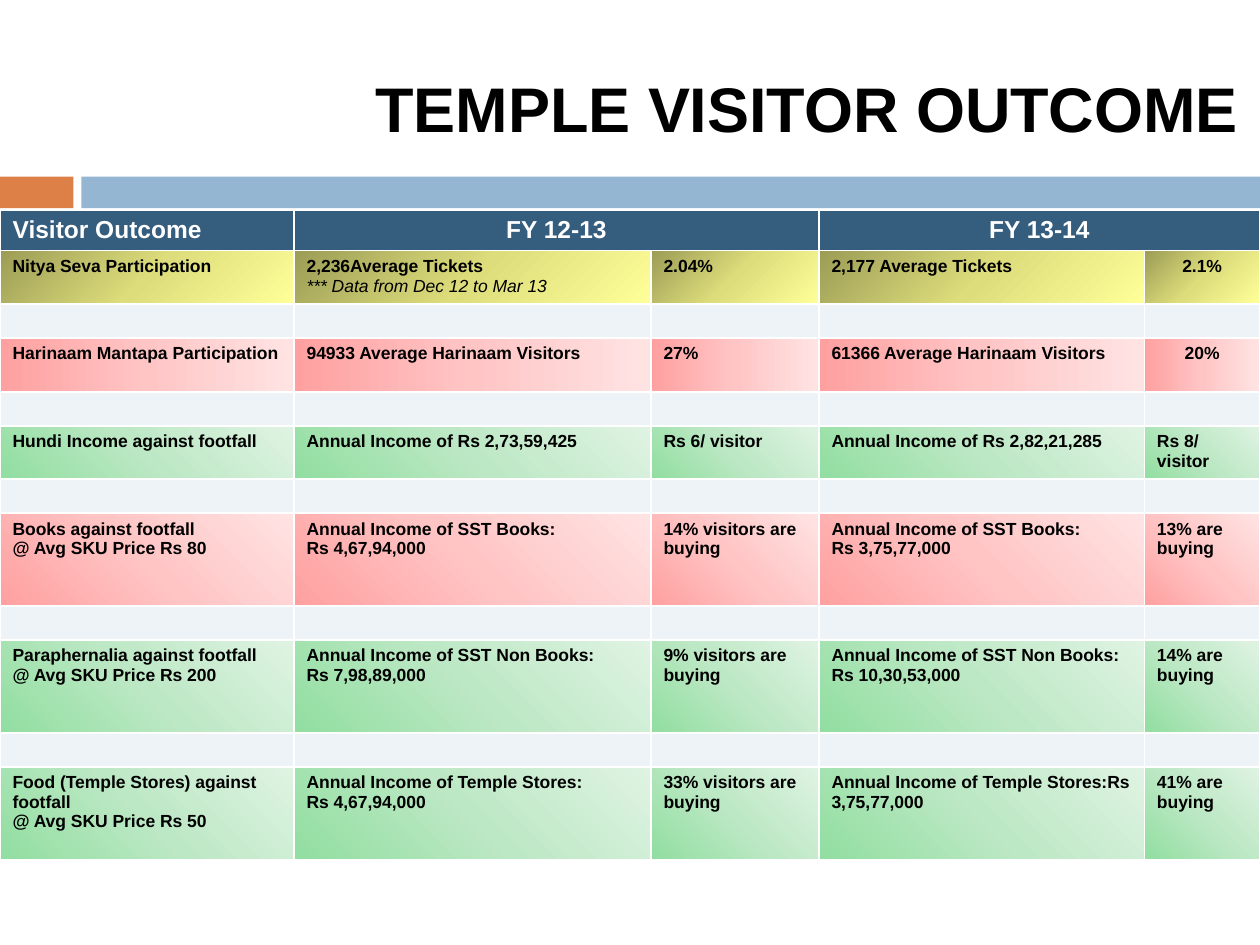
from pptx import Presentation
from pptx.dml.color import RGBColor
from pptx.enum.shapes import MSO_SHAPE as SHAPE
from pptx.enum.text import MSO_AUTO_SIZE as AUTO_SIZE, PP_ALIGN as ALIGN
from pptx.oxml import parse_xml
from pptx.oxml.ns import nsdecls
from pptx.util import Pt


def color(value):
    return RGBColor.from_string(value)


def style(paragraph, size, value, bold=True):
    paragraph.font.name = "Arial"
    paragraph.font.size = Pt(size)
    paragraph.font.bold = bold
    paragraph.font.color.rgb = color(value)


presentation = Presentation()
presentation.slide_width, presentation.slide_height = Pt(720), Pt(540)
slide = presentation.slides.add_slide(presentation.slide_layouts[6])

for left, width, value in [(0, 42, "DD8047"), (46.5, 673.5, "94B6D2")]:
    band = slide.shapes.add_shape(SHAPE.RECTANGLE, Pt(left), Pt(101), Pt(width), Pt(18))
    band.shadow.inherit = False
    band.fill.solid()
    band.fill.fore_color.rgb = color(value)
    band.line.fill.background()

YELLOW = ["9C9C56", "DDDD7B", "FFFF99"]
RED = ["FFA0A0", "FFC5C5", "FFE3E3"]
GREEN = ["91DEA0", "BDE8C5", "DFF3E3"]
CORNER = '<a:path path="circle"><a:fillToRect r="100000" b="100000"/></a:path>'
ACROSS = '<a:lin ang="0" scaled="1"/>'
DIAGONAL = '<a:lin ang="18900000" scaled="1"/>'

outcomes = [
    (30.4, YELLOW, CORNER, [
        "Nitya Seva Participation",
        "2,236Average Tickets\n*** Data from Dec 12 to Mar 13",
        "2.04%", "2,177 Average Tickets", "2.1%"]),
    (31, RED, ACROSS, [
        "Harinaam Mantapa Participation", "94933 Average Harinaam Visitors",
        "27%", "61366 Average Harinaam Visitors", "20%"]),
    (30.4, GREEN, DIAGONAL, [
        "Hundi Income against footfall", "Annual Income of Rs 2,73,59,425",
        "Rs 6/ visitor", "Annual Income of Rs 2,82,21,285", "Rs 8/ visitor"]),
    (53.2, RED, DIAGONAL, [
        "Books against footfall\n@ Avg SKU Price Rs 80",
        "Annual Income of SST Books:\nRs 4,67,94,000", "14% visitors are buying",
        "Annual Income of SST Books:\nRs 3,75,77,000", "13% are buying"]),
    (53.2, GREEN, DIAGONAL, [
        "Paraphernalia against footfall\n@ Avg SKU Price Rs 200",
        "Annual Income of SST Non Books:\nRs 7,98,89,000", "9% visitors are buying",
        "Annual Income of SST Non Books: Rs 10,30,53,000", "14% are buying"]),
    (53.2, GREEN, DIAGONAL, [
        "Food (Temple Stores) against footfall\n@ Avg SKU Price Rs 50",
        "Annual Income of Temple Stores:\nRs 4,67,94,000", "33% visitors are buying",
        "Annual Income of Temple Stores:Rs 3,75,77,000", "41% are buying"]),
]

table = slide.shapes.add_table(
    2 * len(outcomes), 5, Pt(0), Pt(120), Pt(720), Pt(368)).table
table.horz_banding = False
for column, width in zip(table.columns, [168, 204, 96, 186, 66]):
    column.width = Pt(width)

table.rows[0].height = Pt(23.3)
for index in (1, 3):
    table.cell(0, index).merge(table.cell(0, index + 1))
for cell in table.rows[0].cells:
    cell.fill.solid()
    cell.fill.fore_color.rgb = color("355D7E")
for index, text in [(0, "Visitor Outcome"), (1, "FY 12-13"), (3, "FY 13-14")]:
    cell = table.cell(0, index)
    cell.text = text
    paragraph = cell.text_frame.paragraphs[0]
    paragraph.alignment = ALIGN.CENTER if index else ALIGN.LEFT
    style(paragraph, 14, "FFFFFF")

for index in range(2, len(table.rows), 2):
    table.rows[index].height = Pt(18.7)
    for cell in table.rows[index].cells:
        cell.fill.solid()
        cell.fill.fore_color.rgb = color("EEF3F7")
        paragraph = cell.text_frame.paragraphs[0]
        paragraph._p.append(parse_xml(f'<a:endParaRPr {nsdecls("a")} sz="1000"/>'))

for index, (height, shades, direction, texts) in enumerate(outcomes):
    row = table.rows[2 * index + 1]
    row.height = Pt(height)
    stops = "".join(
        f'<a:gs pos="{50000 * step}"><a:srgbClr val="{shade}"/></a:gs>'
        for step, shade in enumerate(shades))
    for cell, text in zip(row.cells, texts):
        cell.text = text
        cell._tc.get_or_add_tcPr().append(parse_xml(
            f'<a:gradFill {nsdecls("a")} rotWithShape="1">'
            f"<a:gsLst>{stops}</a:gsLst>{direction}</a:gradFill>"))
        for paragraph in cell.text_frame.paragraphs:
            is_note = paragraph.text.startswith("***")
            style(paragraph, 10, "000000", bold=not is_note)
            paragraph.font.italic = is_note
            if text in ("2.1%", "20%"):
                paragraph.alignment = ALIGN.CENTER

title = slide.shapes.add_textbox(Pt(207.4), Pt(36), Pt(512.6), Pt(51))
title.text_frame.word_wrap = False
title.text_frame.auto_size = AUTO_SIZE.SHAPE_TO_FIT_TEXT
title.text_frame.text = "TEMPLE VISITOR OUTCOME"
style(title.text_frame.paragraphs[0], 36, "000000")

presentation.save("out.pptx")
